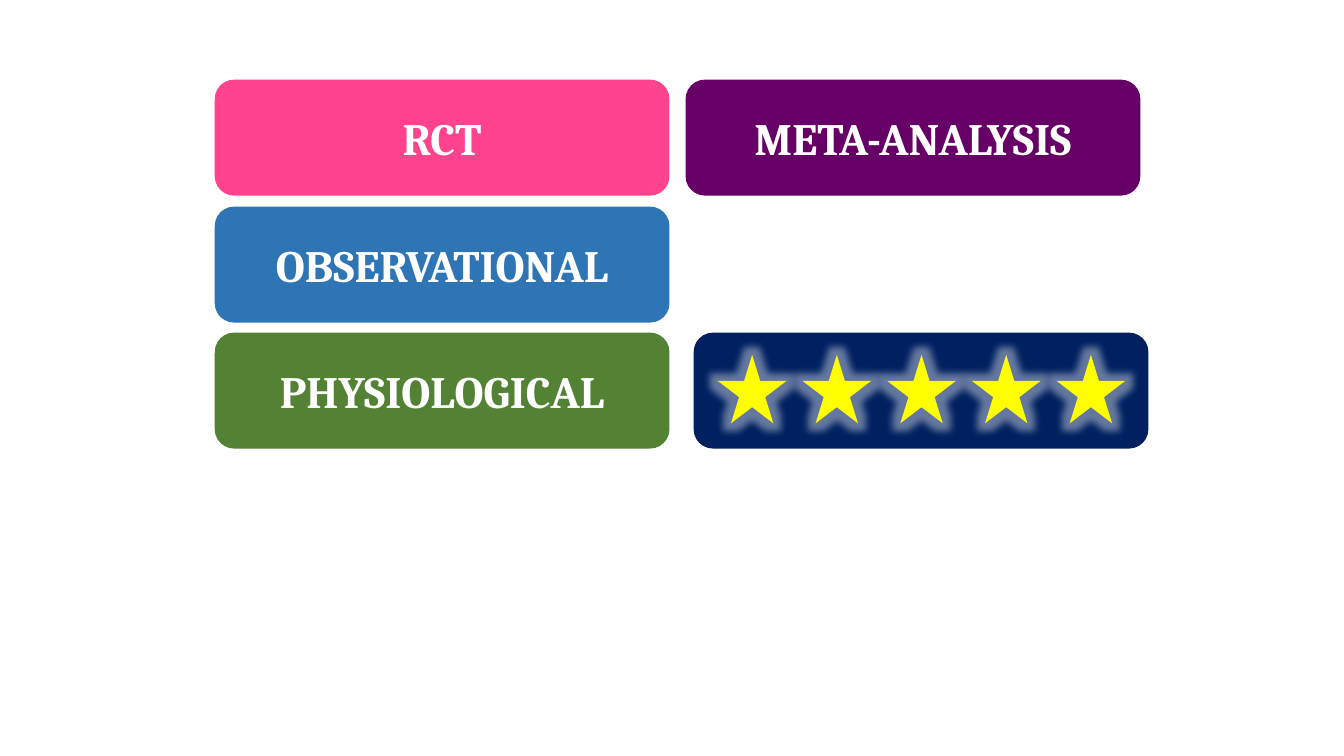
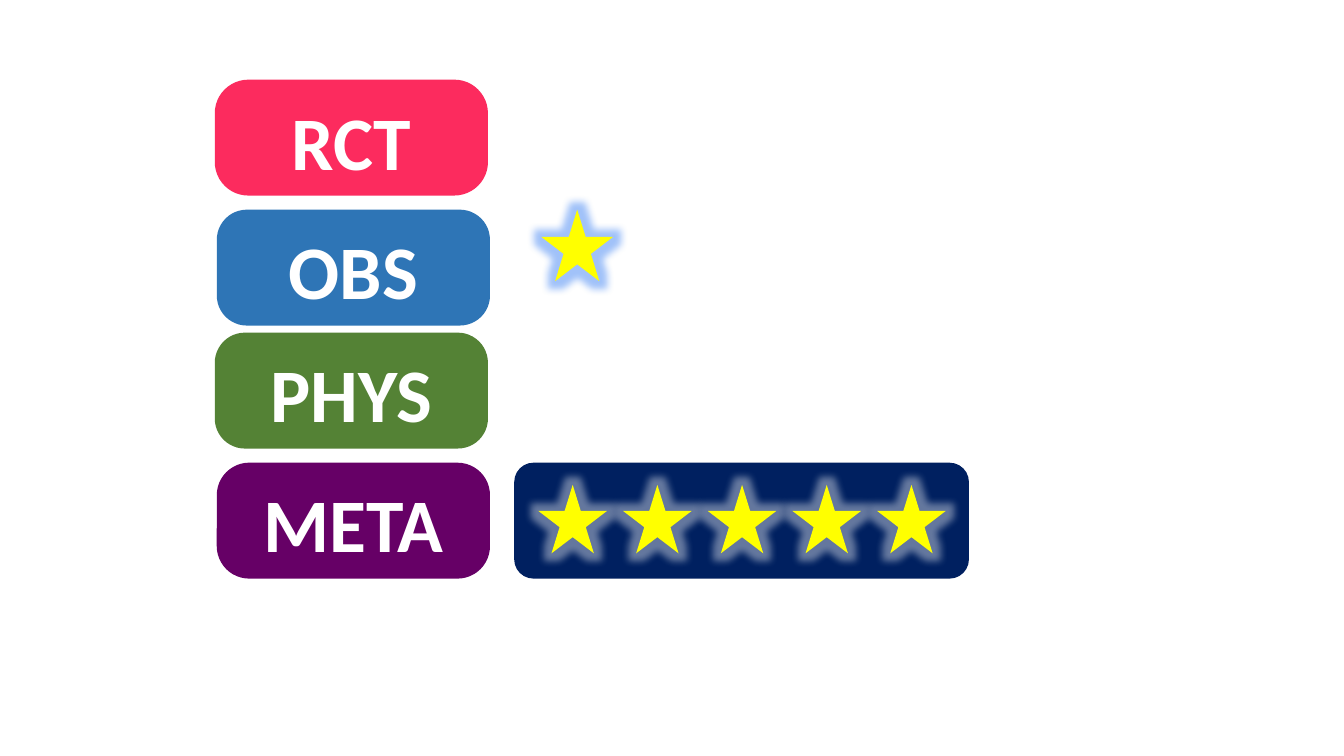
from lxml.etree import SubElement
from pptx import Presentation
from pptx.dml.color import RGBColor
from pptx.enum.shapes import MSO_SHAPE
from pptx.enum.text import MSO_ANCHOR, PP_ALIGN
from pptx.oxml.ns import qn
from pptx.util import Inches, Pt

WHITE = RGBColor(0xFF, 0xFF, 0xFF)
PINK = RGBColor(0xFF, 0x43, 0x8E)
RED = RGBColor(0xFC, 0x2B, 0x5E)
BLUE = RGBColor(0x2E, 0x75, 0xB6)
GREEN = RGBColor(0x54, 0x82, 0x35)
PURPLE = RGBColor(0x66, 0x00, 0x66)
NAVY = RGBColor(0x00, 0x20, 0x60)
YELLOW = RGBColor(0xFF, 0xFF, 0x00)
GLOW_BLUE = RGBColor(0x42, 0x85, 0xF4)

BADGE_HEIGHT = 1.15
WIDE = 4.51
NARROW = 2.71
STAR_COUNT = 5
STAR_SIZE = 0.68
STAR_STEP = 0.84
STAR_INSET = 0.24
GLOW_RADIUS = Pt(11)


def add_block(shapes, preset, left, top, width, height, color):
    block = shapes.add_shape(
        preset, Inches(left), Inches(top), Inches(width), Inches(height))
    block.shadow.inherit = False
    block.fill.solid()
    block.fill.fore_color.rgb = color
    block.line.fill.background()
    return block


def write_text(frame, text, *, font, size, color=WHITE, bold=True,
               anchor=MSO_ANCHOR.TOP, space_before=0):
    frame.word_wrap = True
    frame.vertical_anchor = anchor
    paragraph = frame.paragraphs[0]
    paragraph.alignment = PP_ALIGN.CENTER
    paragraph.space_before = Pt(space_before)
    run = paragraph.add_run()
    run.text = text
    run.font.name = font
    run.font.size = Pt(size)
    run.font.bold = bold
    run.font.color.rgb = color


def add_badge(slide, text, left, top, width, color, corner=0.1667, **text_format):
    badge = add_block(slide.shapes, MSO_SHAPE.ROUNDED_RECTANGLE,
                      left, top, width, BADGE_HEIGHT, color)
    badge.adjustments[0] = corner
    write_text(badge.text_frame, text, **text_format)


def add_star(shapes, left, top, size, glow_color, opacity):
    star = add_block(shapes, MSO_SHAPE.STAR_5_POINT, left, top, size, size, YELLOW)
    effects = star.element.spPr.find(qn("a:effectLst"))
    glow = SubElement(effects, qn("a:glow"), rad=str(GLOW_RADIUS))
    tint = SubElement(glow, qn("a:srgbClr"), val=str(glow_color))
    SubElement(tint, qn("a:alpha"), val=str(opacity * 1000))


def add_rating(slide, left, top):
    rating = slide.shapes.add_group_shape().shapes
    add_block(rating, MSO_SHAPE.ROUNDED_RECTANGLE,
              left, top, WIDE, BADGE_HEIGHT, NAVY)
    for index in range(STAR_COUNT):
        add_star(rating, left + STAR_INSET + index * STAR_STEP, top + 0.22,
                 STAR_SIZE, WHITE, 40)


def build_full_names(slide):
    for text, left, top, color in (
            ("RCT", 2.13, 0.79, PINK),
            ("OBSERVATIONAL", 2.13, 2.05, BLUE),
            ("PHYSIOLOGICAL", 2.13, 3.3, GREEN),
            ("META-ANALYSIS", 6.8, 0.79, PURPLE)):
        add_badge(slide, text, left, top, WIDE, color, font="Cambria", size=32,
                  anchor=MSO_ANCHOR.MIDDLE, space_before=6)
    add_rating(slide, 6.88, 3.3)


def build_short_names(slide):
    for text, left, top, color, corner in (
            ("RCT", 2.13, 0.79, RED, 0.29),
            ("OBS", 2.15, 2.08, BLUE, 0.26),
            ("PHYS", 2.13, 3.3, GREEN, 0.26),
            ("META", 2.15, 4.59, PURPLE, 0.28)):
        add_badge(slide, text, left, top, NARROW, color, corner,
                  font="Calibri", size=54)
    add_star(slide.shapes, 5.37, 2.08, 0.71, GLOW_BLUE, 50)
    add_rating(slide, 5.1, 4.59)


def main():
    deck = Presentation()
    deck.slide_width = Inches(13.33)
    deck.slide_height = Inches(7.5)
    for build in (build_full_names, build_short_names):
        build(deck.slides.add_slide(deck.slide_layouts[6]))
    deck.save("out.pptx")


main()
